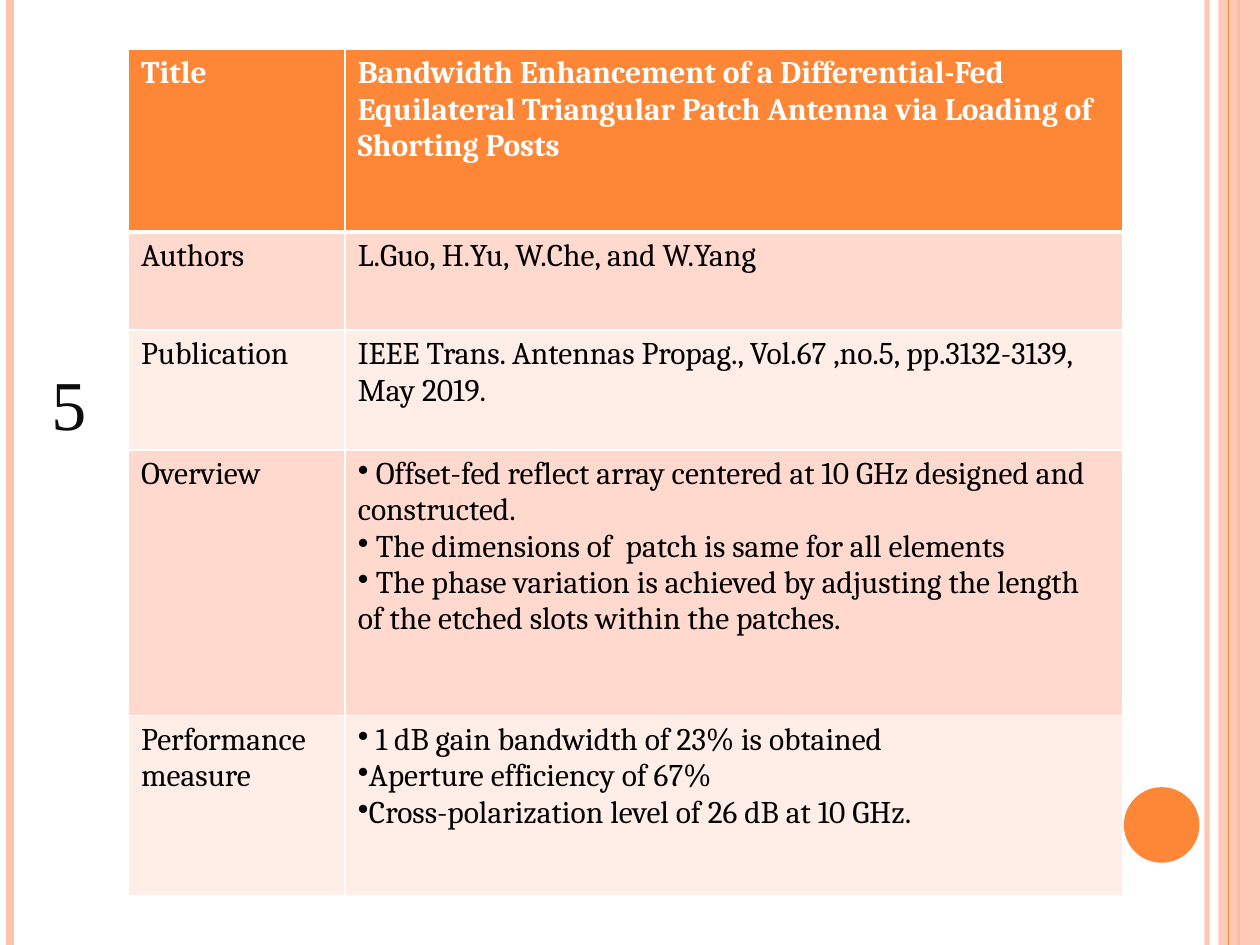
from dataclasses import dataclass

from lxml import etree
from pptx import Presentation, util as u
from pptx.dml.color import RGBColor
from pptx.enum import shapes as sh
from pptx.oxml import ns

WHITE = RGBColor(0xFF, 0xFF, 0xFF)
BLACK = RGBColor(0, 0, 0)
INK = RGBColor(0x0D, 0x0D, 0x0D)
ORANGE = RGBColor(0xFE, 0x86, 0x37)
PEACH = RGBColor(0xFE, 0xC3, 0xAE)
BANDS = RGBColor(0xFF, 0xED, 0xE8), RGBColor(0xFF, 0xD9, 0xCE)
WIDE, HIGH = u.Inches(10), u.Inches(7.5)
COLS = 1.72, 6.17


@dataclass
class Stripe:
    left: float
    width: float
    color: RGBColor
    alpha: int = 100


@dataclass
class Row:
    label: str
    lines: list[str]
    height: float
    listed: bool = False


BACK = [Stripe(0.958, 3, PEACH, 93), Stripe(0.008, 4.5, PEACH), Stripe(0.983, 1.5, ORANGE)]
FRONT = Stripe(0.975, 0.75, ORANGE)

ROWS = [
    Row("Title", ["Bandwidth Enhancement of a Differential-Fed Equilateral Triangular "
                  "Patch Antenna via Loading of Shorting Posts"], 1.45),
    Row("Authors", ["L.Guo, H.Yu, W.Che, and W.Yang"], 0.78),
    Row("Publication", ["IEEE Trans. Antennas Propag., Vol.67 ,no.5, pp.3132-3139, May 2019."], 0.95),
    Row("Overview", [
        " Offset-fed reflect array centered at 10 GHz designed and constructed.",
        " The dimensions of  patch is same for all elements",
        " The phase variation is achieved by adjusting the length of the etched "
        "slots within the patches.",
    ], 2.11, True),
    Row("Performance measure", [
        " 1 dB gain bandwidth of 23% is obtained",
        "Aperture efficiency of 67%",
        "Cross-polarization level of 26 dB at 10 GHz.",
    ], 1.43, True),
]


def fade(node, alpha: int) -> None:
    for color in node.iter(ns.qn("a:srgbClr")):
        etree.SubElement(color, ns.qn("a:alpha"), val=str(alpha * 1000))


def draw_stripe(slide, stripe: Stripe) -> None:
    left = int(WIDE * stripe.left)
    line = slide.shapes.add_connector(sh.MSO_CONNECTOR.STRAIGHT, left, 0, left, HIGH)
    line.line.color.rgb = stripe.color
    line.line.width = u.Pt(stripe.width)
    props = line._element.spPr
    etree.SubElement(props, ns.qn("a:effectLst"))
    if stripe.alpha < 100:
        fade(props, stripe.alpha)


def draw_shape(slide, kind, box: tuple, color: RGBColor, alpha: int = 100) -> None:
    left, top, width, height = box
    shape = slide.shapes.add_shape(kind, int(WIDE * left), int(HIGH * top),
                                   int(WIDE * width), int(HIGH * height))
    shape.shadow.inherit = False
    shape.fill.solid()
    shape.fill.fore_color.rgb = color
    shape.line.fill.background()
    if alpha < 100:
        fade(shape._element.spPr, alpha)


def edge(cell, row: int) -> None:
    props = cell._tc.get_or_add_tcPr()
    for spot, side in enumerate("LRTB"):
        thick = (row, side) in ((0, "B"), (1, "T"))
        line = etree.Element(ns.qn(f"a:ln{side}"), w=str(u.Pt(3 if thick else 1)))
        fill = etree.SubElement(line, ns.qn("a:solidFill"))
        etree.SubElement(fill, ns.qn("a:srgbClr"), val=str(WHITE))
        props.insert(spot, line)


def fill_cell(cell, lines: list[str], row: int, listed: bool) -> None:
    head = row == 0
    cell.fill.solid()
    cell.fill.fore_color.rgb = ORANGE if head else BANDS[row % 2]
    edge(cell, row)
    cell.text_frame.text = "\n".join(lines)
    for para in cell.text_frame.paragraphs:
        if listed:
            etree.SubElement(para._p.get_or_add_pPr(), ns.qn("a:buChar"), char="•")
        font = para.font
        font.name, font.size, font.bold = "Cambria", u.Pt(18), head
        font.color.rgb = WHITE if head else BLACK


def draw_table(slide) -> None:
    frame = slide.shapes.add_table(
        len(ROWS), len(COLS), u.Inches(1.02), u.Inches(0.39),
        u.Inches(sum(COLS)), u.Inches(sum(row.height for row in ROWS)))
    table = frame.table
    for col, width in zip(table.columns, COLS):
        col.width = u.Inches(width)
    for num, row in enumerate(ROWS):
        table.rows[num].height = u.Inches(row.height)
        fill_cell(table.cell(num, 0), [row.label], num, False)
        fill_cell(table.cell(num, 1), row.lines, num, row.listed)


def draw_number(slide) -> None:
    box = slide.shapes.add_textbox(u.Inches(0.31), u.Inches(2.81), u.Inches(0.63), u.Inches(0.77))
    box.text_frame.word_wrap = True
    para = box.text_frame.paragraphs[0]
    para.text = "5"
    para.font.name, para.font.size = "Times New Roman", u.Pt(40)
    para.font.color.rgb = INK


def main() -> None:
    deck = Presentation()
    deck.slide_width, deck.slide_height = WIDE, HIGH
    slide = deck.slides.add_slide(deck.slide_layouts[6])
    for stripe in BACK:
        draw_stripe(slide, stripe)
    draw_shape(slide, sh.MSO_SHAPE.RECTANGLE, (0.967, 0, 0.033, 1), PEACH, 87)
    draw_stripe(slide, FRONT)
    draw_shape(slide, sh.MSO_SHAPE.OVAL, (0.892, 0.833, 0.06, 0.08), ORANGE)
    draw_table(slide)
    draw_number(slide)
    deck.save("out.pptx")


if __name__ == "__main__":
    main()
